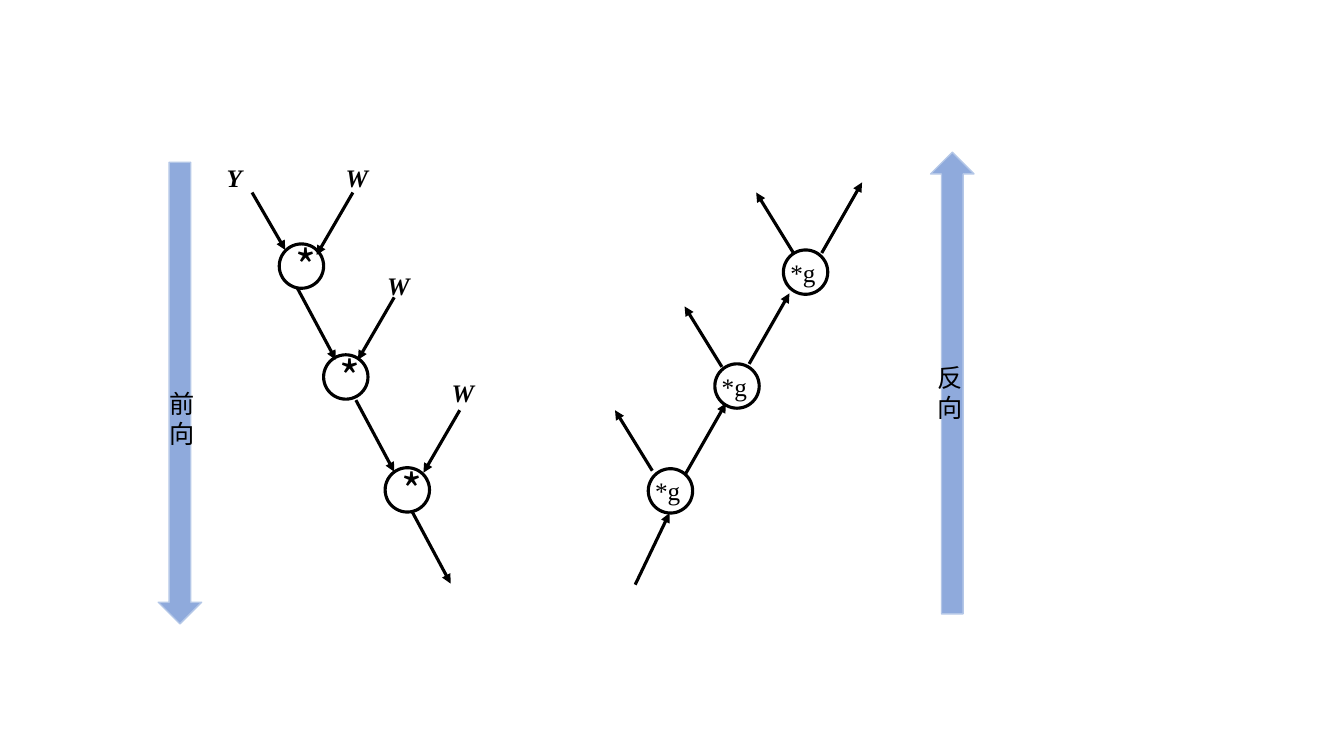
from lxml.etree import SubElement
from pptx import Presentation
from pptx.dml.color import RGBColor
from pptx.enum.shapes import MSO_CONNECTOR, MSO_SHAPE
from pptx.enum.text import MSO_ANCHOR, PP_ALIGN
from pptx.oxml.ns import qn
from pptx.util import Inches, Pt

LATIN_FONT = "Times New Roman"
CHINESE_FONT = "Noto Sans CJK SC"
NODE_SIZE = 0.44

presentation = Presentation()
presentation.slide_width = Inches(13.33)
presentation.slide_height = Inches(7.5)
slide = presentation.slides.add_slide(presentation.slide_layouts[6])


def color(value):
    return RGBColor.from_string(value)


def write(shape, text, size, font_name, bold_italic=False):
    run = shape.text_frame.paragraphs[0].add_run()
    run.text = text
    run.font.size = Pt(size)
    run.font.name = font_name
    run.font.bold = run.font.italic = bold_italic
    run.font.color.rgb = color("000000")
    east_asian = SubElement(run.font._element, qn("a:ea"))
    east_asian.set("typeface", font_name)


circles = []  # left, top, symbol inside
labels = []  # left, top, width, height, text, font, bold italic
arrows = []  # start x, start y, horizontal run, vertical run

# Forward chain: each node takes a W and passes its product down
labels.append((2.15, 1.56, 0.35, 0.4, "Y", LATIN_FONT, True))
arrows.append((2.5, 1.91, 0.33, 0.57))
forward_steps = [
    # node, W label, start of W arrow, start of output arrow
    ((2.77, 2.42), (3.33, 1.56), (3.5, 1.91), (2.95, 2.86)),
    ((3.21, 3.52), (3.74, 2.63), (3.91, 2.95), (3.53, 3.97)),
    ((3.82, 4.64), (4.38, 3.69), (4.56, 4.07), (4.09, 5.08)),
]
for node, weight_label, weight_start, output_start in forward_steps:
    circles.append((*node, "*"))
    labels.append((*weight_label, 0.35, 0.4, "W", LATIN_FONT, True))
    arrows.append((*weight_start, -0.36, 0.62))
    arrows.append((*output_start, 0.38, 0.71))

# Backward chain: each node sends a gradient to the left and one upward
arrows.append((6.3, 5.8, 0.34, -0.71))
backward_steps = [
    # node, start of left arrow, start of right arrow
    ((6.43, 4.65), (6.47, 4.67), (6.8, 4.7)),
    ((7.09, 3.61), (7.16, 3.64), (7.43, 3.61)),
    ((7.77, 2.48), (7.87, 2.51), (8.15, 2.51)),
]
for node, left_start, right_start in backward_steps:
    circles.append((*node, ""))
    labels.append((node[0] - 0.03, node[1] + 0.02, 0.84, 0.4, "*g", LATIN_FONT, False))
    arrows.append((*left_start, -0.37, -0.6))
    arrows.append((*right_start, 0.4, -0.7))

# Nodes
for left, top, symbol in circles:
    circle = slide.shapes.add_shape(
        MSO_SHAPE.OVAL, Inches(left), Inches(top), Inches(NODE_SIZE), Inches(NODE_SIZE))
    circle.shadow.inherit = False
    circle.fill.solid()
    circle.fill.fore_color.rgb = color("FFFFFF")
    circle.line.color.rgb = color("000000")
    circle.line.width = Pt(2.25)
    if symbol:
        circle.text_frame.vertical_anchor = MSO_ANCHOR.MIDDLE
        circle.text_frame.paragraphs[0].alignment = PP_ALIGN.CENTER
        write(circle, symbol, 32, CHINESE_FONT)

# Arrows between nodes
for x, y, run_x, run_y in arrows:
    arrow = slide.shapes.add_connector(
        MSO_CONNECTOR.STRAIGHT, Inches(x), Inches(y), Inches(x + run_x), Inches(y + run_y))
    arrow.line.color.rgb = color("000000")
    arrow.line.width = Pt(2.25)
    SubElement(arrow.line._get_or_add_ln(), qn("a:tailEnd")).set("type", "triangle")
    SubElement(arrow._element.spPr, qn("a:effectLst"))

# Direction bars with their captions
for left, top, rotation, caption_left, caption_top, caption in [
    (1.57, 1.61, 0, 1.58, 3.8, "前向"),
    (9.23, 1.51, 180, 9.2, 3.54, "反向"),
]:
    bar = slide.shapes.add_shape(
        MSO_SHAPE.DOWN_ARROW, Inches(left), Inches(top), Inches(0.43), Inches(4.58))
    bar.rotation = rotation
    bar.shadow.inherit = False
    bar.fill.solid()
    bar.fill.fore_color.rgb = color("8FAADC")
    bar.line.color.rgb = color("B4C7E7")
    bar.line.width = Pt(1)
    labels.append((caption_left, caption_top, 0.46, 0.71, caption, CHINESE_FONT, False))

# Labels
for left, top, width, height, text, font_name, bold_italic in labels:
    label = slide.shapes.add_textbox(Inches(left), Inches(top), Inches(width), Inches(height))
    label.text_frame.word_wrap = True
    write(label, text, 18, font_name, bold_italic)

presentation.save("out.pptx")
